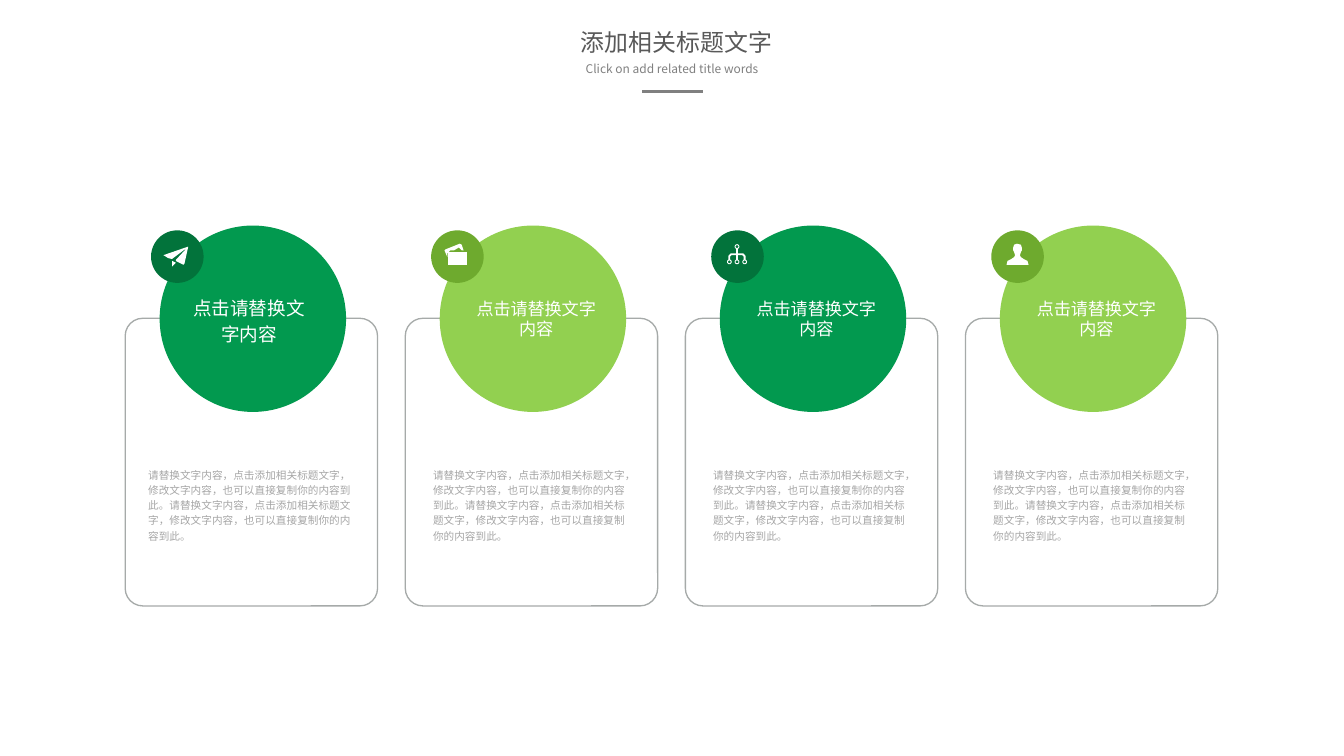
from dataclasses import dataclass

from lxml.etree import SubElement
from pptx import Presentation
from pptx.dml.color import RGBColor
from pptx.enum.shapes import MSO_CONNECTOR, MSO_SHAPE
from pptx.enum.text import MSO_ANCHOR, PP_ALIGN
from pptx.oxml.ns import qn
from pptx.util import Inches, Pt


@dataclass(frozen=True)
class Theme:
    latin: str = "Arial"
    chinese: str = "Noto Sans CJK SC"
    white: str = "FFFFFF"
    title: str = "595959"
    subtitle: str = "808080"
    body: str = "A6A6A6"
    border: str = "A6AAA9"
    circles: tuple = ("02994F", "92D050")
    badges: tuple = ("02733B", "6EAA2E")
    title_size: float = 18
    subtitle_size: float = 9
    first_heading_size: float = 14
    heading_size: float = 12.9
    body_size: float = 8


THEME = Theme()
SLIDE_WIDTH, SLIDE_HEIGHT = 14.06, 7.91

# Four equal columns; each part has its own start in the first column
PITCH = 2.93
CARD_LEFT, CIRCLE_LEFT, BADGE_LEFT = 1.31, 1.67, 1.58
CARD_TOP, CIRCLE_TOP, BADGE_TOP = 3.33, 2.36, 2.41
CIRCLE_SIZE, BADGE_SIZE = 1.95, 0.55
HEADING_TOP, HEADING_HEIGHT = 3.11, 0.45
BODY_TOP, BODY_HEIGHT = 4.62, 1.31

HEADING = "点击请替换文字内容"
BODY = "请替换文字内容，点击添加相关标题文字，修改文字内容，也可以直接复制你的内容到此。" * 2

# Icon outlines, in hundredths of an inch from the badge corner
PLANE = [
    [(22, 38), (26, 34), (22, 32)],
    [(39, 17), (13, 26), (18, 29), (22, 30), (38, 18), (26, 31), (26, 32),
     (34, 36), (35, 35)],
]
PHOTOS = [
    [(34, 21), (32, 15), (30, 14), (15, 20), (14, 21), (17, 28), (17, 24),
     (20, 21), (24, 21), (29, 18), (32, 21)],
    [(18, 23), (37, 23), (37, 36), (18, 36)],
]
PERSON = [
    [(27, 14), (31, 15), (32, 18), (32, 21), (31, 23), (30, 26), (31, 28),
     (34, 30), (38, 32), (39, 36), (16, 36), (17, 32), (21, 30), (24, 28),
     (25, 26), (24, 23), (23, 21), (23, 18), (24, 15)],
]
TREE_NODES = [(27, 17), (19, 33), (27, 33), (35, 33)]
TREE_BRANCH = [(19, 31), (19, 27), (21, 25), (33, 25), (35, 27), (35, 31)]


def rgb(color):
    return RGBColor.from_string(color)


def style(shape, fill=None, line=None, width=1):
    shape.shadow.inherit = False
    if fill:
        shape.fill.solid()
        shape.fill.fore_color.rgb = rgb(fill)
    else:
        shape.fill.background()
    if line:
        shape.line.color.rgb = rgb(line)
        shape.line.width = Pt(width)
    else:
        shape.line.fill.background()


def add_preset(slide, kind, left, top, width, height, adjust=None, **look):
    shape = slide.shapes.add_shape(
        kind, Inches(left), Inches(top), Inches(width), Inches(height))
    if adjust is not None:
        shape.adjustments[0] = adjust
    style(shape, **look)


def add_line(slide, start, end, color, width):
    line = slide.shapes.add_connector(
        MSO_CONNECTOR.STRAIGHT, *map(Inches, (*start, *end)))
    line.line.color.rgb = rgb(color)
    line.line.width = Pt(width)
    SubElement(line._element.spPr, qn("a:effectLst"))


def add_outline(slide, points, left, top, close=True, **look):
    builder = slide.shapes.build_freeform(*points[0], scale=Inches(0.01))
    builder.add_line_segments(points[1:], close=close)
    style(builder.convert_to_shape(Inches(left), Inches(top)), **look)


def add_text(slide, text, left, top, width, height, *, size, color,
             font=THEME.latin, align=PP_ALIGN.LEFT, anchor=MSO_ANCHOR.MIDDLE,
             spacing=None, before=None, margins=(0, 0)):
    box = slide.shapes.add_textbox(
        Inches(left), Inches(top), Inches(width), Inches(height))
    frame = box.text_frame
    frame.word_wrap = True
    frame.vertical_anchor = anchor
    frame.margin_left = frame.margin_right = Inches(margins[0])
    frame.margin_top = frame.margin_bottom = Inches(margins[1])
    paragraph = frame.paragraphs[0]
    paragraph.alignment = align
    if spacing:
        paragraph.line_spacing = spacing
    if before:
        paragraph.space_before = Pt(before)
    run = paragraph.add_run()
    run.text = text
    run.font.size = Pt(size)
    run.font.color.rgb = rgb(color)
    run.font.name = font
    SubElement(run._r.get_or_add_rPr(), qn("a:ea"), typeface=THEME.chinese)


def add_header(slide):
    header = dict(font=THEME.chinese, align=PP_ALIGN.CENTER,
                  anchor=MSO_ANCHOR.TOP, margins=(0.07, 0.04))
    add_text(slide, "添加相关标题文字", 5.85, 0.25, 2.45, 0.4,
             size=THEME.title_size, color=THEME.title, **header)
    add_text(slide, "Click on add related title words", 5.85, 0.6, 2.36, 0.23,
             size=THEME.subtitle_size, color=THEME.subtitle, **header)
    add_line(slide, (6.72, 0.96), (7.35, 0.96), THEME.subtitle, 2.25)


def add_icon(slide, outlines, left, top):
    for points in outlines:
        add_outline(slide, points, left, top, fill=THEME.white)


def add_tree_icon(slide, left, top):
    add_outline(slide, TREE_BRANCH, left, top, close=False,
                line=THEME.white, width=1.4)
    trunk = left + 0.27
    add_line(slide, (trunk, top + 0.19), (trunk, top + 0.31), THEME.white, 1.4)
    for x, y in TREE_NODES:
        add_preset(slide, MSO_SHAPE.DONUT, left + (x - 2.5) / 100,
                   top + (y - 2.5) / 100, 0.05, 0.05, adjust=0.2,
                   fill=THEME.white)


def add_card(slide, column, icon):
    shift = column * PITCH
    first = column == 0
    tone = column % 2

    # Frame, circle and badge
    add_preset(slide, MSO_SHAPE.ROUNDED_RECTANGLE, CARD_LEFT + shift, CARD_TOP,
               2.64, 3.01, adjust=0.07, line=THEME.border)
    add_preset(slide, MSO_SHAPE.OVAL, CIRCLE_LEFT + shift, CIRCLE_TOP,
               CIRCLE_SIZE, CIRCLE_SIZE, fill=THEME.circles[tone])
    badge_left = BADGE_LEFT + shift
    add_preset(slide, MSO_SHAPE.OVAL, badge_left, BADGE_TOP,
               BADGE_SIZE, BADGE_SIZE, fill=THEME.badges[tone])
    if icon:
        add_icon(slide, icon, badge_left, BADGE_TOP)
    else:
        add_tree_icon(slide, badge_left, BADGE_TOP)

    # The first card has a larger heading and a wider body
    heading_left, heading_width = (1.95, 1.31) if first else (1.98, 1.4)
    body_left, body_width = (1.55, 2.17) if first else (1.6, 2.09)
    before = None if first else 10
    add_text(slide, HEADING, heading_left + shift, HEADING_TOP,
             heading_width, HEADING_HEIGHT, color=THEME.white,
             size=THEME.first_heading_size if first else THEME.heading_size,
             align=PP_ALIGN.CENTER, spacing=1.2 if first else None,
             before=before)
    add_text(slide, BODY, body_left + shift, BODY_TOP, body_width, BODY_HEIGHT,
             size=THEME.body_size, color=THEME.body, spacing=1.2,
             before=before)


def main():
    deck = Presentation()
    deck.slide_width, deck.slide_height = Inches(SLIDE_WIDTH), Inches(SLIDE_HEIGHT)
    slide = deck.slides.add_slide(deck.slide_layouts[6])
    add_header(slide)
    for column, icon in enumerate((PLANE, PHOTOS, None, PERSON)):
        add_card(slide, column, icon)
    deck.save("out.pptx")


if __name__ == "__main__":
    main()
